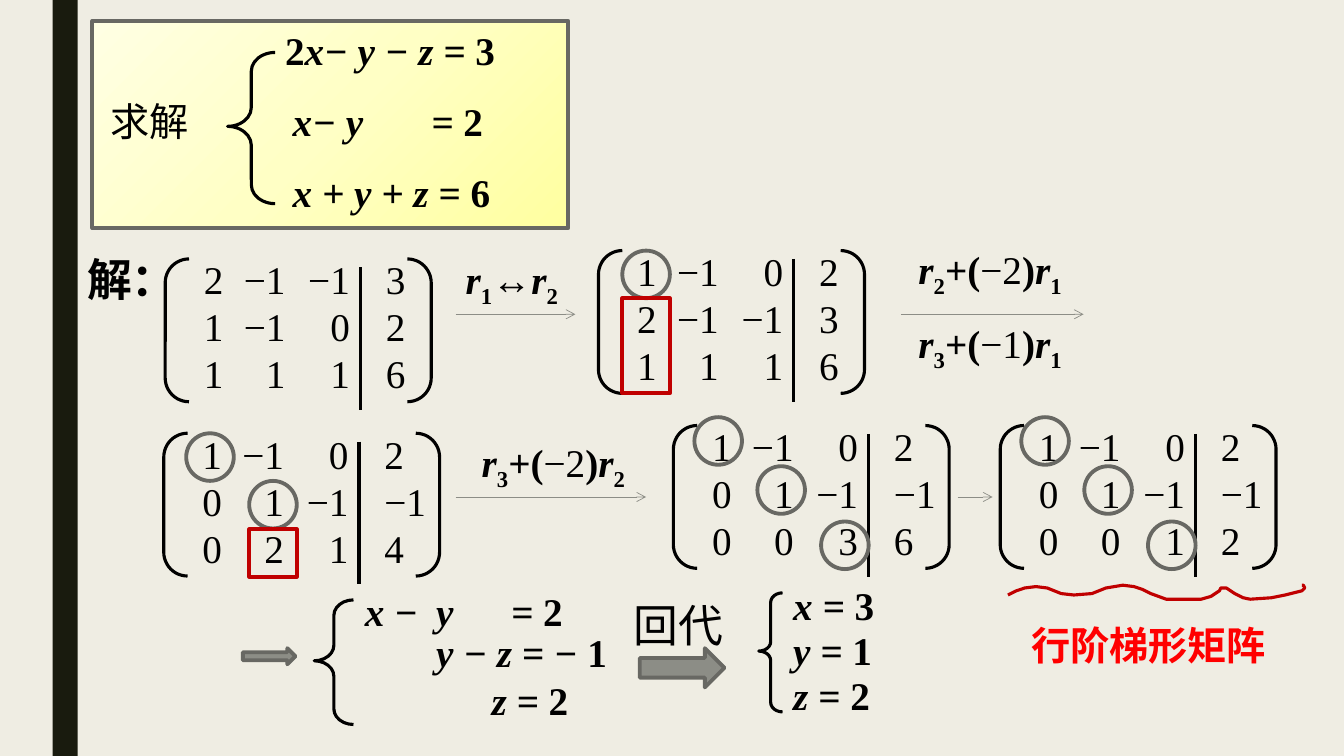
from dataclasses import dataclass

from pptx import Presentation
from pptx.dml.color import RGBColor
from pptx.enum.shapes import MSO_CONNECTOR as Connector, MSO_SHAPE as Preset
from pptx.enum.text import MSO_ANCHOR as Anchor, MSO_AUTO_SIZE as AutoSize, PP_ALIGN as Align
from pptx.oxml import parse_xml
from pptx.oxml.ns import nsdecls
from pptx.oxml.xmlchemy import OxmlElement
from pptx.util import Pt


@dataclass(frozen=True)
class Theme:
    paper: str = "EFEDE3"
    bar: str = "191B0E"
    ink: str = "000000"
    arrow: str = "8C8D86"
    edge: str = "686863"
    mark: str = "C00000"
    alert: str = "FF0000"
    glow: tuple = ("FFFFA0", "FFFFC5", "FFFFE3")
    font: str = "Times New Roman"
    body: int = 28
    large: int = 32
    hairline: float = 0.5
    stroke: float = 2.25
    outline: float = 2.75


def assign(target, formats):
    for attribute, value in formats.items():
        setattr(target, attribute, value)


class Board:
    def __init__(self, slide, theme):
        self.slide, self.theme = slide, theme
        slide.background.fill.solid()
        slide.background.fill.fore_color.rgb = RGBColor.from_string(theme.paper)

    def paint(self, shape, fill, line, weight):
        shape.shadow.inherit = False
        if fill:
            shape.fill.solid()
            shape.fill.fore_color.rgb = RGBColor.from_string(fill)
        else:
            shape.fill.background()
        if line:
            shape.line.color.rgb = RGBColor.from_string(line)
            shape.line.width = Pt(weight)
        else:
            shape.line.fill.background()

    def shape(self, preset, box, fill=None, line=None, weight=None, adjust=()):
        shape = self.slide.shapes.add_shape(preset, *map(Pt, box))
        self.paint(shape, fill, line, weight or self.theme.outline)
        for index, ratio in enumerate(adjust):
            shape.adjustments[index] = ratio
        return shape

    def glowing_panel(self, box):
        """Framed panel with a radial gradient centred on its lower right corner."""
        panel = self.shape(Preset.RECTANGLE, box, line=self.theme.edge)
        stops = "".join(
            f'<a:gs pos="{step * 50000}"><a:srgbClr val="{color}"/></a:gs>'
            for step, color in enumerate(self.theme.glow))
        gradient = parse_xml(
            f'<a:gradFill {nsdecls("a")} rotWithShape="1"><a:gsLst>{stops}</a:gsLst>'
            '<a:path path="circle"><a:fillToRect l="100000" t="100000"/></a:path></a:gradFill>')
        properties = panel.element.spPr
        properties.replace(properties.find("{*}noFill"), gradient)

    def brace(self, box):
        self.shape(Preset.LEFT_BRACE, box, line=self.theme.ink,
                   weight=self.theme.stroke, adjust=(0.396, 0.489))

    def line(self, x1, y1, x2, y2, color, weight, arrow=False):
        line = self.slide.shapes.add_connector(Connector.STRAIGHT, *map(Pt, (x1, y1, x2, y2)))
        line.line.width = Pt(weight)
        line.line.color.rgb = RGBColor.from_string(color)
        if arrow:
            head = OxmlElement("a:tailEnd")
            head.set("type", "arrow")
            line.element.spPr.find("{*}ln").append(head)
        line.element.spPr.append(OxmlElement("a:effectLst"))

    def step_arrow(self, x1, x2, y):
        self.line(x1, y, x2, y, self.theme.arrow, self.theme.hairline, arrow=True)

    def squiggle(self, points):
        builder = self.slide.shapes.build_freeform(*points[0], scale=Pt(1))
        builder.add_line_segments(points[1:], close=False)
        self.paint(builder.convert_to_shape(), None, self.theme.mark, self.theme.stroke)

    def typeset(self, frame, rows, size=None, color=None, align=Align.LEFT, tabs=()):
        """Each row lists (text, style); style letters: b bold, i italic, _ subscript."""
        assign(frame, {"word_wrap": False, "auto_size": AutoSize.NONE,
                       "vertical_anchor": Anchor.TOP})
        for index, row in enumerate(rows):
            paragraph = frame.add_paragraph() if index else frame.paragraphs[0]
            paragraph.alignment = align
            if tabs:
                stops = OxmlElement("a:tabLst")
                for position in tabs:
                    stop = OxmlElement("a:tab")
                    stop.set("pos", str(Pt(position)))
                    stop.set("algn", "l")
                    stops.append(stop)
                paragraph._p.get_or_add_pPr().append(stops)
            for words, style in row:
                run = paragraph.add_run()
                run.text = words
                assign(run.font, {"name": self.theme.font, "size": Pt(size or self.theme.body),
                                  "bold": "b" in style, "italic": "i" in style})
                run.font.color.rgb = RGBColor.from_string(color or self.theme.ink)
                if "_" in style:
                    run.font._element.set("baseline", "-25000")

    def text(self, box, rows, **options):
        self.typeset(self.slide.shapes.add_textbox(*map(Pt, box)).text_frame, rows, **options)

    def title(self, box, words):
        heading = self.slide.shapes.title
        assign(heading, dict(zip(("left", "top", "width", "height"), map(Pt, box))))
        self.typeset(heading.text_frame, [[(words, "b")]], size=self.theme.large)

    def equation(self, x, y, left, right, tabs=()):
        self.text((x, y, 170, 41), [[*left, (right, "b")]], tabs=tabs)

    def row_operation(self, x, y, target, factor, source):
        self.text((x, y, 136, 41), [[("r", "bi"), (target, "b_"), ("+(", "b"), (factor, ""),
                                     (")", "b"), ("r", "bi"), (source, "b_")]])

    def matrix(self, x, y, width, rows, rings=(), frame=None):
        """Augmented matrix; rings and frame are placed relative to its bracket."""
        ink, stroke = self.theme.ink, self.theme.stroke
        self.shape(Preset.DOUBLE_BRACKET, (x, y, width, 102), line=ink, weight=stroke)
        layout = ((20.5, 29, Align.LEFT), (49, 44, Align.RIGHT),
                  (95, 44, Align.RIGHT), (150.5, 44, Align.LEFT))
        for (dx, column_width, align), column in zip(layout, zip(*rows)):
            self.text((x + dx, y - 6, column_width, 109),
                      [[(entry, "")] for entry in column], align=align)
        self.line(x + 139.5, y + 6, x + 139.5, y + 108, ink, stroke)
        for dx, dy in rings:
            self.shape(Preset.OVAL, (x + dx, y + dy, 34, 34), line=self.theme.edge)
        if frame:
            dx, dy, height = frame
            self.shape(Preset.RECTANGLE, (x + dx, y + dy, 34, height), line=self.theme.mark)


def entries(text):
    return [row.split() for row in text.split("|")]


def main():
    deck = Presentation()
    assign(deck, {"slide_width": Pt(960), "slide_height": Pt(540)})
    theme = Theme()
    board = Board(deck.slides.add_slide(deck.slide_layouts[5]), theme)
    board.shape(Preset.RECTANGLE, (37.5, 0, 18, 540), fill=theme.bar)

    board.glowing_panel((66, 15, 340, 148))
    board.text((72, 66, 71, 41), [[("求解", "")]])
    board.brace((162.5, 37.5, 34, 108))
    board.equation(196.5, 15, [("2", "b"), ("x− y − z = ", "bi")], "3")
    board.equation(202, 66, [("x− y\t= ", "bi")], "2", tabs=(99,))
    board.equation(202, 117, [("x + y + z = ", "bi")], "6")

    board.title((55, 176.5, 79, 46), "解：")
    board.matrix(118, 185, 190, entries("2 −1 −1 3|1 −1 0 2|1 1 1 6"))
    board.text((325.5, 179, 85, 41), [[("r", "bi"), ("1", "b_"), ("↔", "b"),
                                       ("r", "bi"), ("2", "b_")]])
    board.step_arrow(325.5, 411, 224.5)
    board.matrix(427.5, 179, 190, entries("1 −1 0 2|2 −1 −1 3|1 1 1 6"),
                 rings=[(17, 0)], frame=(17, 34, 68))
    board.row_operation(649, 172, "2", "−2", "1")
    board.row_operation(649, 224.5, "3", "−1", "1")
    board.step_arrow(643.5, 774, 224.5)

    board.matrix(117, 309.5, 197, entries("1 −1 0 2|0 1 −1 −1|0 2 1 4"),
                 rings=[(16, 0), (61, 34)], frame=(61, 68.5, 34))
    board.row_operation(337, 309.5, "3", "−2", "2")
    board.step_arrow(325.5, 461.5, 355)
    pivots = [(15, -6), (60, 29), (105.5, 68.5)]
    board.matrix(481, 304, 197, entries("1 −1 0 2|0 1 −1 −1|0 0 3 6"), rings=pivots)
    board.step_arrow(684, 709, 355)
    board.matrix(714.5, 304, 197, entries("1 −1 0 2|0 1 −1 −1|0 0 1 2"), rings=pivots)

    board.squiggle([
        (720, 425), (726, 422), (732, 420.5), (740, 419), (747.5, 420.5), (757.5, 424),
        (767, 425), (780, 424), (790.5, 420.5), (802, 417.5), (810.5, 419), (816, 421),
        (821.5, 424), (833, 427.5), (836.5, 428.5), (850, 427.5), (857.5, 427.5),
        (865, 425.5), (871, 422), (872.5, 420.5), (876, 420), (879, 422.5), (881.5, 424),
        (888.5, 427), (893, 427.5), (908.5, 427), (918.5, 425), (929.5, 422),
        (932.5, 420), (931, 418.5), (929.5, 418.5)])
    board.text((729.5, 440, 184, 41), [[("行阶梯形矩阵", "b")]], color=theme.alert)

    for arrow in ((173.5, 463, 37.5, 11.5), (457, 463, 60.5, 28)):
        board.shape(Preset.RIGHT_ARROW, arrow, fill=theme.arrow, line=theme.edge)
    board.brace((224.5, 428.5, 28, 89))
    board.equation(253.5, 416, [("x −\ty\t= ", "bi")], "2", tabs=(51, 104.5))
    board.equation(304.5, 445.5, [("y − z = − ", "bi")], "1")
    board.equation(344, 479.5, [("z = ", "bi")], "2")
    board.text((445.5, 423.5, 79, 46), [[("回代", "")]], size=theme.large)
    board.brace((542, 423.5, 17, 85))
    for index, (unknown, value) in enumerate(zip("xyz", "312")):
        board.equation(559.5, 412 + 32 * index, [(f"{unknown} = ", "bi")], value)

    deck.save("out.pptx")


if __name__ == "__main__":
    main()
